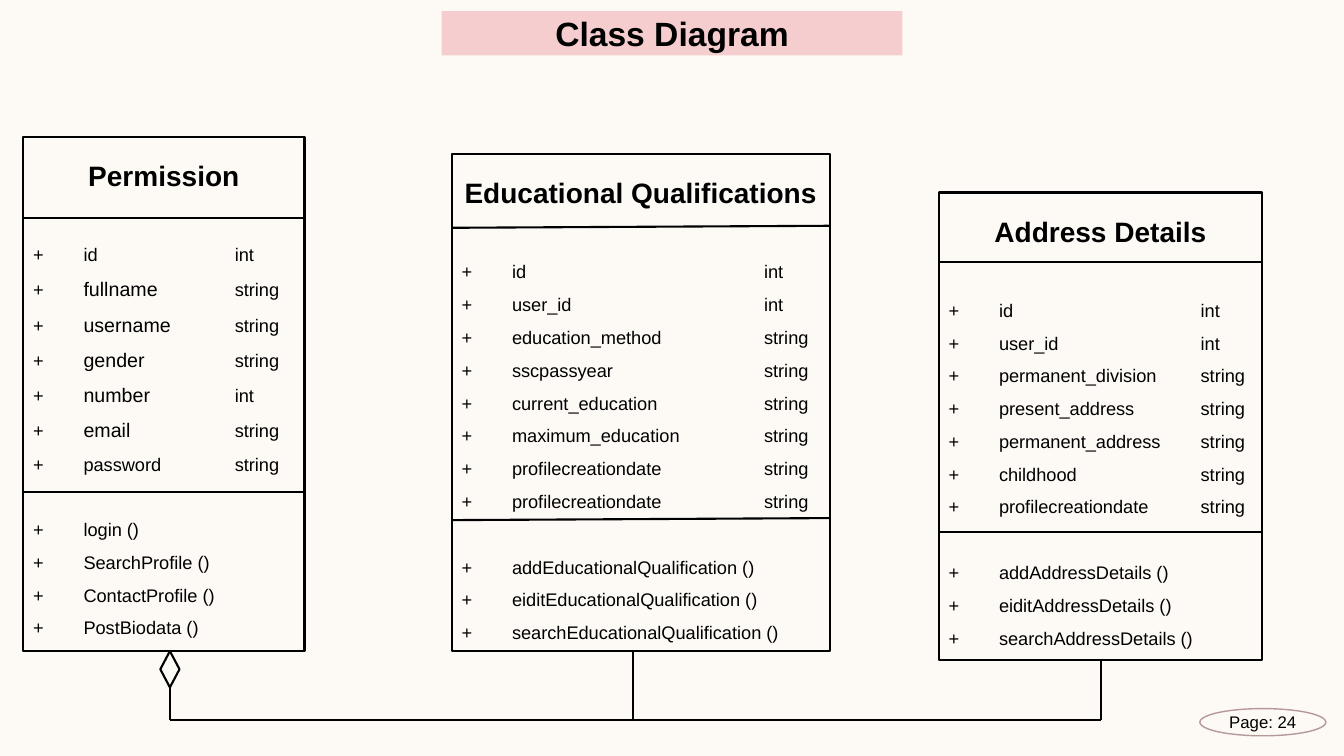
from lxml import etree
from pptx import Presentation, util as u
from pptx.dml.color import RGBColor
from pptx.enum import shapes, text
from pptx.oxml import ns

KIND = shapes.MSO_SHAPE
INK = "000000"
hue = RGBColor.from_string

deck = Presentation()
deck.slide_width, deck.slide_height = u.Inches(13.33), u.Inches(7.5)
slide = deck.slides.add_slide(deck.slide_layouts[5])
slide.background.fill.solid()
slide.background.fill.fore_color.rgb = hue("FDFAF6")


def outline(kind, left, top, width, height, color=INK, weight=1.5):
    """Add an unfilled shape, lengths in inches."""
    shape = slide.shapes.add_shape(kind, *map(u.Inches, (left, top, width, height)))
    shape.shadow.inherit = False
    shape.fill.background()
    shape.line.color.rgb = hue(color)
    shape.line.width = u.Pt(weight)
    return shape


def rule(x1, y1, x2, y2):
    """Add a plain black line, lengths in inches."""
    line = slide.shapes.add_connector(
        shapes.MSO_CONNECTOR.STRAIGHT, *map(u.Inches, (x1, y1, x2, y2)))
    line.line.color.rgb = hue(INK)
    line.line.width = u.Pt(1.5)
    etree.SubElement(line._element.spPr, ns.qn("a:effectLst"))


# Title and page mark
title = slide.shapes.title
title.left, title.top, title.width, title.height = map(u.Inches, (4.38, 0.11, 4.57, 0.44))
title.fill.solid()
title.fill.fore_color.rgb = hue("F5CDCE")
page = outline(KIND.OVAL, 11.9, 7.03, 1.25, 0.27, "B59898", 1)
for shape, words, size, bold in ((title, "Class Diagram", 24, True),
                                 (page, "Page: 24", 12, False)):
    frame = shape.text_frame
    frame.text = words
    frame.auto_size = text.MSO_AUTO_SIZE.NONE
    frame.word_wrap = shape is title
    frame.vertical_anchor = text.MSO_ANCHOR.MIDDLE
    para = frame.paragraphs[0]
    para.alignment = text.PP_ALIGN.CENTER
    para.font.name, para.font.size, para.font.bold = "Arial", u.Pt(size), bold
    para.font.color.rgb = hue(INK)

# name, place, tab of the types, rules, tilt of the rules, large names, fields, methods
classes = [
    ("Permission", (0.23, 1.36, 2.79, 5.1), 2, (2.16, 4.88), 0,
     ("fullname", "username", "gender", "number", "email"),
     "id int, fullname string, username string, gender string, number int, "
     "email string, password string",
     "login, SearchProfile, ContactProfile, PostBiodata"),
    ("Educational Qualifications", (4.48, 1.53, 3.75, 4.93), 3, (2.26, 5.16), 0.02, (),
     "id int, user_id int, education_method string, sscpassyear string, "
     "current_education string, maximum_education string, "
     "profilecreationdate string, profilecreationdate string",
     "addEducationalQualification, eiditEducationalQualification, "
     "searchEducationalQualification"),
    ("Address Details", (9.31, 1.91, 3.21, 4.64), 2.5, (2.6, 5.28), 0, (),
     "id int, user_id int, permanent_division string, present_address string, "
     "permanent_address string, childhood string, profilecreationdate string",
     "addAddressDetails, eiditAddressDetails, searchAddressDetails"),
]

for name, place, stop, rules, tilt, large, fields, methods in classes:
    left, top, width, height = place
    frame = outline(KIND.RECTANGLE, *place).text_frame
    frame.word_wrap = True
    frame.vertical_anchor = text.MSO_ANCHOR.TOP
    fields = [field.split() for field in fields.split(", ")]
    methods = [(method + " ()", "") for method in methods.split(", ")]
    gaps = {1: 28.8, 1 + len(fields): 23.4}

    for row, (label, sort) in enumerate([(name, "")] + fields + methods):
        head = row == 0
        para = frame.paragraphs[0] if head else frame.add_paragraph()
        para.alignment = text.PP_ALIGN.CENTER if head else text.PP_ALIGN.LEFT
        para.line_spacing = 1.5
        if row in gaps:
            para.space_before = u.Pt(gaps[row])
        if not head:
            tabs = etree.SubElement(para._p.get_or_add_pPr(), ns.qn("a:tabLst"))
            for tab in (0.5, stop):
                etree.SubElement(tabs, ns.qn("a:tab"), pos=str(u.Inches(tab)), algn="l")
        para.font.name, para.font.bold = "Arial", head
        para.font.size = u.Pt(20 if head else 13)
        para.font.color.rgb = hue(INK)
        if label in large:
            for part, size in (("+\t", 13), (label, 14), ("\t" + sort, 13)):
                run = para.add_run()
                run.text, run.font.size = part, u.Pt(size)
        else:
            lead, tail = "" if head else "+\t", "\t" + sort if sort else ""
            para.add_run().text = lead + label + tail

    for y in rules:
        rule(left, y, left + width, y - tilt)

# Aggregation: the diamond sits under Permission, the others join its bus
hub, edu, home, bus = 1.69, 6.28, 10.92, 7.14
outline(KIND.FLOWCHART_DECISION, hub - 0.1, 6.46, 0.19, 0.36)
rule(home, bus, hub, bus)
for x, y in ((hub, 6.82), (edu, 6.46), (home, 6.55)):
    rule(x, y, x, bus)

deck.save("out.pptx")
